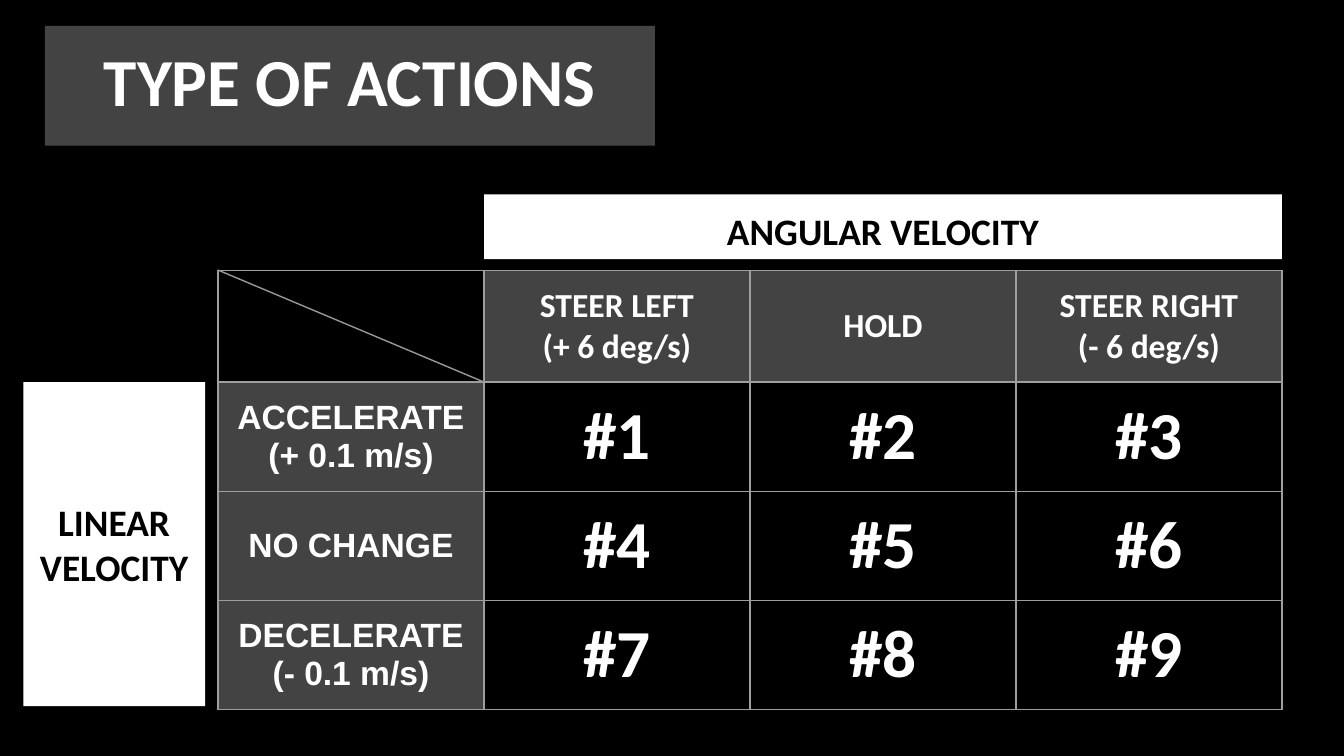
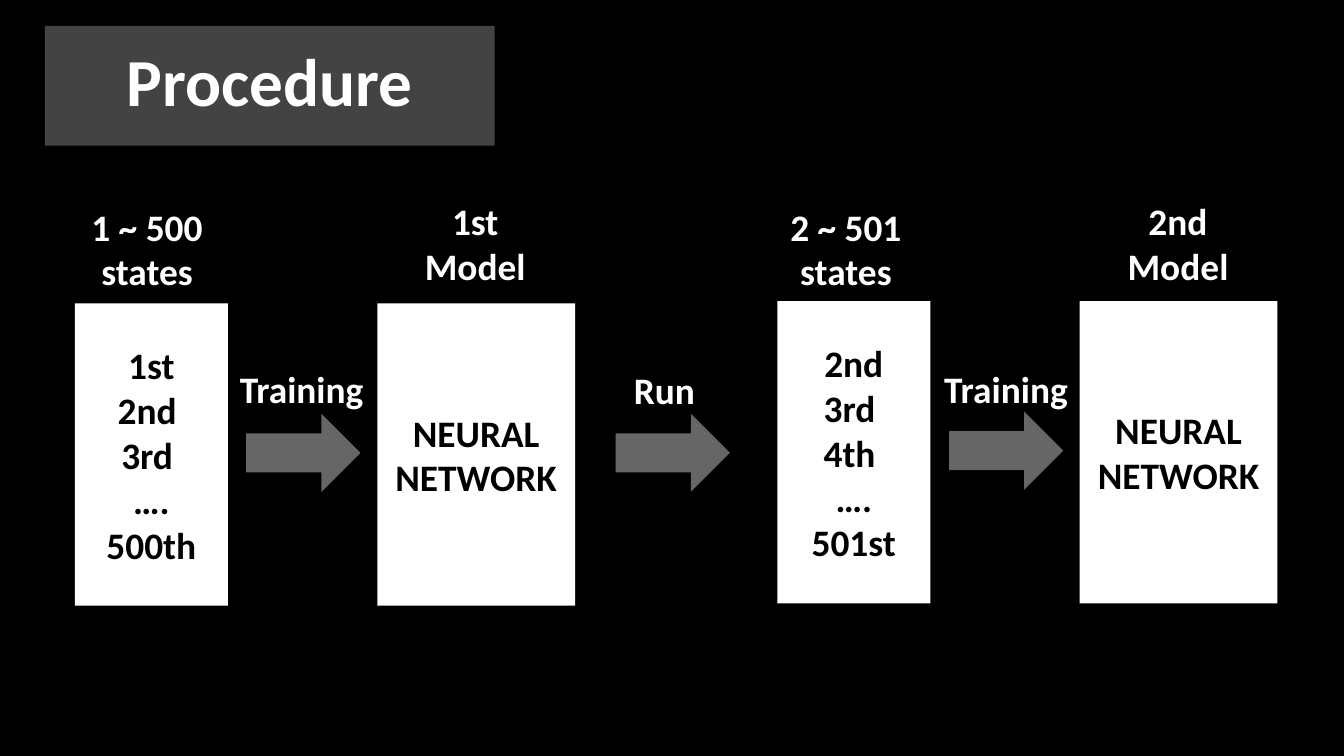
from dataclasses import dataclass
from typing import Optional, Union

from lxml.etree import SubElement
from pptx import Presentation
from pptx.dml.color import RGBColor
from pptx.enum.shapes import MSO_CONNECTOR, MSO_SHAPE
from pptx.enum.text import MSO_ANCHOR, PP_ALIGN
from pptx.oxml.ns import qn
from pptx.presentation import Presentation as Deck
from pptx.slide import Slide
from pptx.table import _Cell
from pptx.text.text import TextFrame
from pptx.util import Pt

COLORS = {
    "black": "000000",
    "white": "FFFFFF",
    "band": "434343",
    "arrow": "666666",
    "border": "9E9E9E",
    "diagonal": "999999",
}
INSETS = {f"margin_{side}": Pt(7.2) for side in ("left", "top", "right", "bottom")}
HAIRLINE = Pt(0.75)

TABLE_LEFT, TABLE_TOP = 116.8, 144.7
COLUMN_WIDTH, HEADER_HEIGHT, ACTION_HEIGHT = 142.5, 60, 49.6
STEERING = ["STEER LEFT\n(+ 6 deg/s)", "HOLD", "STEER RIGHT\n(- 6 deg/s)"]
SPEEDS = ["ACCELERATE\n(+ 0.1 m/s)", "NO CHANGE", "DECELERATE\n(- 0.1 m/s)"]


@dataclass(frozen=True)
class Style:
    size: float = 20
    color: str = "white"
    font: str = "Calibri"
    fill: Optional[str] = None
    anchor: MSO_ANCHOR = MSO_ANCHOR.MIDDLE


@dataclass(frozen=True)
class Block:
    text: str
    left: float
    top: float
    width: float
    height: float
    style: Style


@dataclass(frozen=True)
class Stage:
    left: float
    top: float
    states_left: float
    training_left: float
    arrow_left: float
    model_left: float
    states: str
    samples: str
    model: str


TITLE = Style(size=36, fill="band", anchor=MSO_ANCHOR.TOP)
TOP_PANEL = Style(color="black", fill="white", anchor=MSO_ANCHOR.TOP)
PANEL = Style(color="black", fill="white")
CAPTION = Style(fill="black")
LABEL = Style()
STEERING_HEADER = Style(size=18, fill="band")
SPEED_HEADER = Style(size=18, font="Arial", fill="band")
ACTION = Style(size=36, anchor=MSO_ANCHOR.TOP)

STAGES = [
    Stage(40.1, 162.5, 30.2, 113, 131.9, 206,
          "1 ~ 500 states", "1st\n2nd \n3rd \n….\n500th", "1st Model"),
    Stage(416.4, 161.3, 404.6, 490.3, 508.4, 582.5,
          "2 ~ 501 states", "2nd\n3rd \n4th \n….\n501st", "2nd Model"),
]


def rgb(name: str) -> RGBColor:
    return RGBColor.from_string(COLORS[name])


def apply(target: object, values: dict) -> None:
    for attribute, value in values.items():
        setattr(target, attribute, value)


def write(frame: TextFrame, text: str, style: Style) -> None:
    frame.text = text
    for paragraph in frame.paragraphs:
        paragraph.alignment = PP_ALIGN.CENTER
        for run in paragraph.runs:
            apply(run.font, {"name": style.font, "size": Pt(style.size), "bold": True})
            run.font.color.rgb = rgb(style.color)


def draw_block(slide: Slide, block: Block) -> None:
    style = block.style
    bounds = [Pt(v) for v in (block.left, block.top, block.width, block.height)]
    if style.fill:
        shape = slide.shapes.add_shape(MSO_SHAPE.RECTANGLE, *bounds)
        shape.shadow.inherit = False
        shape.fill.solid()
        shape.fill.fore_color.rgb = rgb(style.fill)
        shape.line.fill.background()
    else:
        shape = slide.shapes.add_textbox(*bounds)
    apply(shape.text_frame,
          INSETS | {"word_wrap": True, "vertical_anchor": style.anchor})
    write(shape.text_frame, block.text, style)


def draw_arrow(slide: Slide, left: float, top: float) -> None:
    arrow = slide.shapes.add_shape(
        MSO_SHAPE.RIGHT_ARROW, Pt(left), Pt(top), Pt(61.2), Pt(41.8))
    arrow.shadow.inherit = False
    arrow.fill.solid()
    arrow.fill.fore_color.rgb = rgb("arrow")
    arrow.line.fill.background()


def start_slide(deck: Deck, title: str, title_width: float) -> Slide:
    slide = deck.slides.add_slide(deck.slide_layouts[6])
    slide.background.fill.solid()
    slide.background.fill.fore_color.rgb = rgb("black")
    draw_block(slide, Block(title, 24, 13.9, title_width, 64.2, TITLE))
    return slide


def add_borders(cell: _Cell) -> None:
    properties = cell._tc.get_or_add_tcPr()
    for side in ("lnL", "lnR", "lnT", "lnB"):
        border = SubElement(properties, qn(f"a:{side}"), w=str(HAIRLINE))
        fill = SubElement(border, qn("a:solidFill"))
        SubElement(fill, qn("a:srgbClr"), val=COLORS["border"])


def fill_cell(cell: _Cell, text: str, style: Style) -> None:
    apply(cell, INSETS | {"vertical_anchor": style.anchor})
    add_borders(cell)
    if style.fill:
        cell.fill.solid()
        cell.fill.fore_color.rgb = rgb(style.fill)
    else:
        cell.fill.background()
    write(cell.text_frame, text, style)


def draw_action_table(slide: Slide) -> None:
    actions = slide.shapes.add_table(
        4, 4, Pt(TABLE_LEFT), Pt(TABLE_TOP), Pt(4 * COLUMN_WIDTH),
        Pt(HEADER_HEIGHT + 3 * ACTION_HEIGHT)).table
    apply(actions, {"first_row": False, "horz_banding": False})
    for column in actions.columns:
        column.width = Pt(COLUMN_WIDTH)
    for index, row in enumerate(actions.rows):
        row.height = Pt(ACTION_HEIGHT if index else HEADER_HEIGHT)

    fill_cell(actions.cell(0, 0), "", LABEL)
    for index, (steering, speed) in enumerate(zip(STEERING, SPEEDS), start=1):
        fill_cell(actions.cell(0, index), steering, STEERING_HEADER)
        fill_cell(actions.cell(index, 0), speed, SPEED_HEADER)
    for number in range(9):
        row, column = divmod(number, 3)
        fill_cell(actions.cell(row + 1, column + 1), f"#{number + 1}", ACTION)


def draw_diagonal(slide: Slide) -> None:
    diagonal = slide.shapes.add_connector(
        MSO_CONNECTOR.STRAIGHT,
        Pt(TABLE_LEFT + COLUMN_WIDTH), Pt(TABLE_TOP + HEADER_HEIGHT),
        Pt(TABLE_LEFT), Pt(TABLE_TOP))
    diagonal.line.color.rgb = rgb("diagonal")
    diagonal.line.width = HAIRLINE
    SubElement(diagonal._element.spPr, qn("a:effectLst"))


def build_actions(deck: Deck) -> None:
    slide = start_slide(deck, "TYPE OF ACTIONS", 326.8)
    draw_action_table(slide)
    draw_block(slide, Block("ANGULAR VELOCITY", TABLE_LEFT + COLUMN_WIDTH, 104.2,
                            3 * COLUMN_WIDTH, 34.7, TOP_PANEL))
    draw_block(slide, Block("LINEAR\nVELOCITY", 12.5, 204.8, 97.4, 173.6, PANEL))
    draw_diagonal(slide)


def draw_caption(slide: Slide, text: str, left: float, top: float,
                 style: Style = LABEL) -> None:
    draw_block(slide, Block(text, left, top, 97.2, 50.4, style))


def draw_stage(slide: Slide, stage: Stage) -> None:
    draw_block(slide, Block(stage.samples, stage.left, stage.top, 82, 162, PANEL))
    draw_caption(slide, stage.states, stage.states_left, 108, CAPTION)
    draw_arrow(slide, stage.arrow_left, stage.top + 59.2)
    draw_block(slide, Block("NEURAL\nNETWORK", stage.left + 162, stage.top,
                            106, 162, PANEL))
    draw_caption(slide, "Training", stage.training_left, 182.9)
    draw_caption(slide, stage.model, stage.model_left, 105.1)


def build_procedure(deck: Deck) -> None:
    slide = start_slide(deck, "Procedure", 241)
    for stage in STAGES:
        draw_stage(slide, stage)
    draw_arrow(slide, 329.8, 221.7)
    draw_caption(slide, "Run", 307.4, 183.6)


def main() -> None:
    deck = Presentation()
    apply(deck, {"slide_width": Pt(720), "slide_height": Pt(405)})
    build_actions(deck)
    build_procedure(deck)
    deck.save("out.pptx")


if __name__ == "__main__":
    main()
